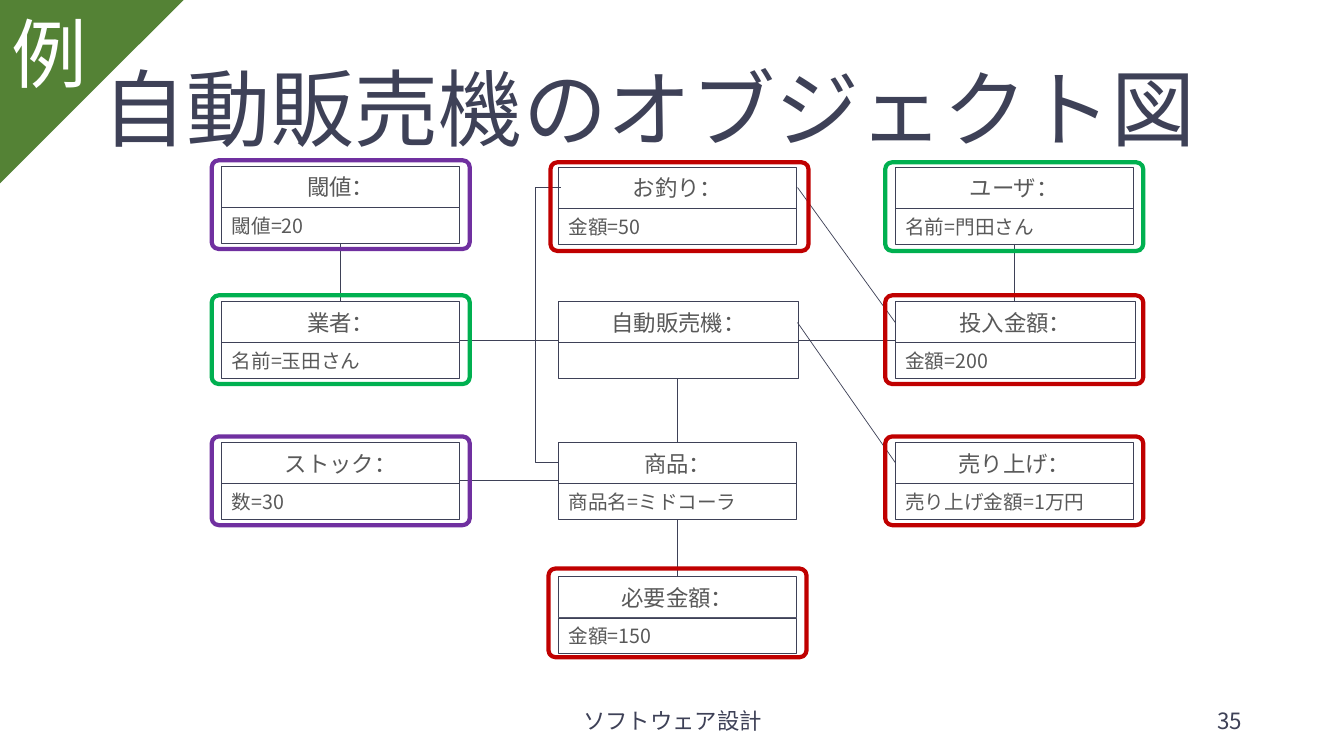
"""Build the vending machine object diagram slide."""
import pptx
import pptx.dml.color
import pptx.enum.shapes
import pptx.enum.text
import pptx.oxml.ns
import pptx.util
from lxml import etree

PX = 9144
NAVY = pptx.dml.color.RGBColor(0x3E, 0x41, 0x57)
GRAY = pptx.dml.color.RGBColor(0x59, 0x59, 0x59)
WHITE = pptx.dml.color.RGBColor(0xFF, 0xFF, 0xFF)
LEAF = pptx.dml.color.RGBColor(0x54, 0x82, 0x35)
RED = pptx.dml.color.RGBColor(0xC0, 0x00, 0x00)
PURPLE = pptx.dml.color.RGBColor(0x70, 0x30, 0xA0)
GREEN = pptx.dml.color.RGBColor(0x00, 0xB0, 0x50)
GOTHIC = "Noto Sans CJK JP"
SHAPE = pptx.enum.shapes.MSO_SHAPE
CONNECTOR = pptx.enum.shapes.MSO_CONNECTOR
ALIGN = pptx.enum.text.PP_ALIGN
ANCHOR = pptx.enum.text.MSO_ANCHOR
qn = pptx.oxml.ns.qn


def px(*lengths):
    return [length * PX for length in lengths]


def write(frame, text, size, color, align, font=GOTHIC, anchor=ANCHOR.MIDDLE):
    frame.word_wrap = True
    frame.vertical_anchor = anchor
    paragraph = frame.paragraphs[0]
    paragraph.alignment = align
    run = paragraph.add_run()
    run.text = text
    for key, value in {"name": font, "size": pptx.util.Pt(size)}.items():
        setattr(run.font, key, value)
    run.font.color.rgb = color
    east_asian = etree.SubElement(run.font._element, qn("a:ea"))
    east_asian.set("typeface", font)


deck = pptx.Presentation()
deck.slide_width, deck.slide_height = px(1333, 750)
slide = deck.slides.add_slide(deck.slide_layouts[5])

title = slide.shapes.title
title.left, title.top, title.width, title.height = px(92, 40, 1150, 145)
write(title.text_frame, "自動販売機のオブジェクト図", 60, NAVY, ALIGN.LEFT)
title.text_frame.paragraphs[0].line_spacing = 0.9

for text, left, width, align in [
    ("ソフトウェア設計", 442, 450, ALIGN.CENTER),
    ("35", 942, 300, ALIGN.RIGHT),
]:
    footer = slide.shapes.add_textbox(*px(left, 695, width, 40))
    write(footer.text_frame, text, 16, NAVY, align)

HEADER_HEIGHT, ATTRIBUTE_HEIGHT = 41, 35
LEFT, MIDDLE, RIGHT = 220, 554, 888
objects = [
    ("閾値：", "閾値=20", LEFT, 165, 236),
    ("お釣り：", "金額=50", MIDDLE, 166, 236),
    ("ユーザ：", "名前=門田さん", RIGHT, 166, 236),
    ("業者：", "名前=玉田さん", LEFT, 299, 236),
    ("自動販売機：", "", MIDDLE, 299, 238),
    ("投入金額：", "金額=200", RIGHT, 299, 238),
    ("ストック：", "数=30", LEFT, 439, 236),
    ("商品：", "商品名=ミドコーラ", MIDDLE, 439, 236),
    ("売り上げ：", "売り上げ金額=1万円", RIGHT, 439, 236),
    ("必要金額：", "金額=150", MIDDLE, 572, 236),
]
for name, attribute, left, top, width in objects:
    object_box = slide.shapes.add_group_shape()
    for text, y, height, size, align in [
        (name, top, HEADER_HEIGHT, 16, ALIGN.CENTER),
        (attribute, top + HEADER_HEIGHT, ATTRIBUTE_HEIGHT, 14, ALIGN.LEFT),
    ]:
        cell = object_box.shapes.add_shape(
            SHAPE.RECTANGLE, *px(left, y, width, height))
        cell.shadow.inherit = False
        cell.fill.solid()
        cell.fill.fore_color.rgb = WHITE
        cell.line.color.rgb = NAVY
        cell.line.width = pptx.util.Pt(0.5)
        if text:
            write(cell.text_frame, text, size, GRAY, align)

corner = slide.shapes.add_shape(SHAPE.RIGHT_TRIANGLE, *px(0, 0, 182, 182))
corner.rotation = 90
corner.shadow.inherit = False
corner.fill.solid()
corner.fill.fore_color.rgb = LEAF
corner.line.fill.background()
example = slide.shapes.add_textbox(*px(2, 2, 134, 101))
write(example.text_frame, "例", 54, WHITE, ALIGN.LEFT, "Calibri", ANCHOR.TOP)

links = [
    (CONNECTOR.STRAIGHT, 554, 477, 456, 477),
    (CONNECTOR.STRAIGHT, 554, 338, 456, 338),
    (CONNECTOR.STRAIGHT, 338, 241, 338, 299),
    (CONNECTOR.STRAIGHT, 672, 439, 672, 376),
    (CONNECTOR.STRAIGHT, 672, 572, 672, 515),
    (CONNECTOR.STRAIGHT, 791, 338, 888, 338),
    (CONNECTOR.STRAIGHT, 791, 186, 888, 320),
    (CONNECTOR.STRAIGHT, 1006, 242, 1006, 299),
    (CONNECTOR.ELBOW, 556, 186, 554, 459),
    (CONNECTOR.STRAIGHT, 791, 320, 888, 459),
]
for kind, *ends in links:
    link = slide.shapes.add_connector(kind, *px(*ends))
    link.line.color.rgb = NAVY
    link.line.width = pptx.util.Pt(0.5)
    properties = link._element.spPr
    etree.SubElement(properties, qn("a:effectLst"))
    if kind == CONNECTOR.ELBOW:
        bend = etree.SubElement(next(properties.iter(qn("a:avLst"))), qn("a:gd"))
        bend.set("name", "adj1")
        bend.set("fmla", "val 1250000")

highlights = [
    (RED, 546, 161),
    (RED, 878, 433),
    (RED, 878, 293),
    (RED, 544, 564),
    (PURPLE, 210, 433),
    (PURPLE, 210, 159),
    (GREEN, 210, 293),
    (GREEN, 878, 161),
]
for color, left, top in highlights:
    highlight = slide.shapes.add_shape(
        SHAPE.ROUNDED_RECTANGLE, *px(left, top, 256, 88))
    highlight.adjustments[0] = 0.08
    highlight.shadow.inherit = False
    highlight.fill.background()
    highlight.line.color.rgb = color
    highlight.line.width = pptx.util.Pt(3)

deck.save("out.pptx")
